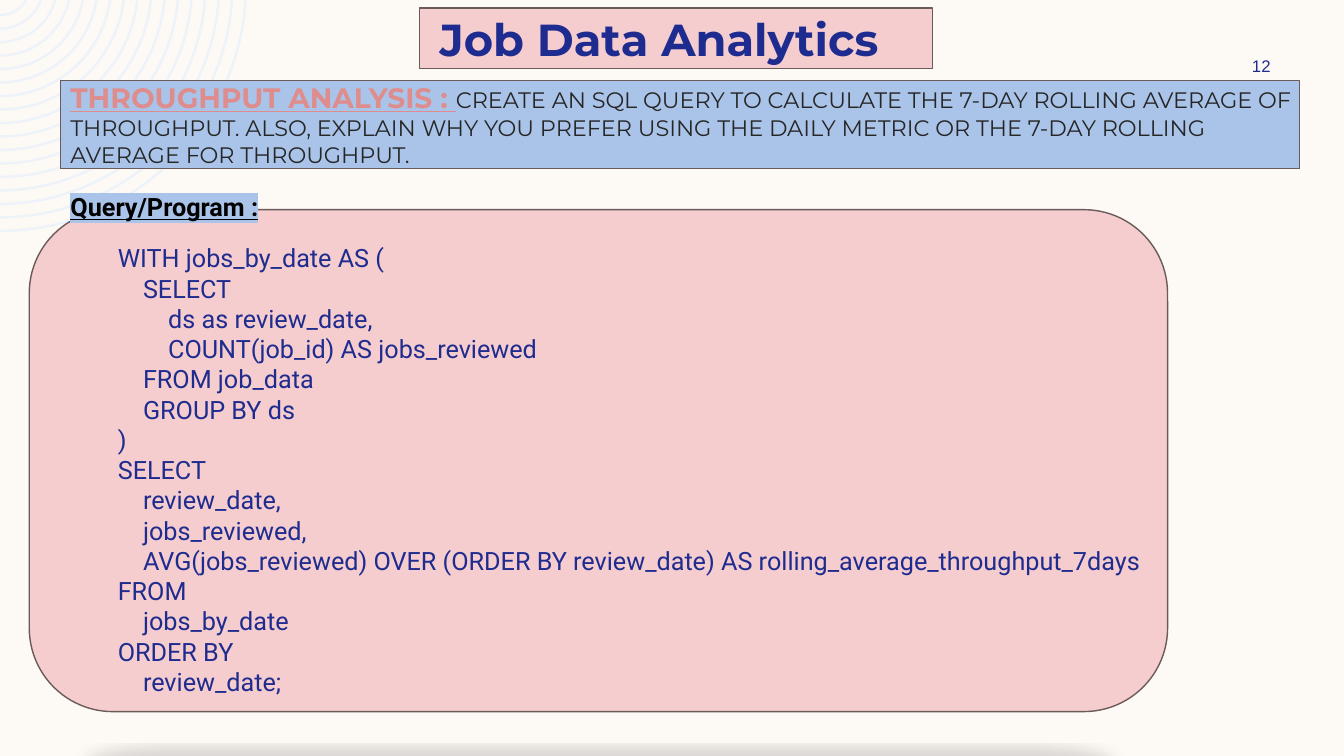
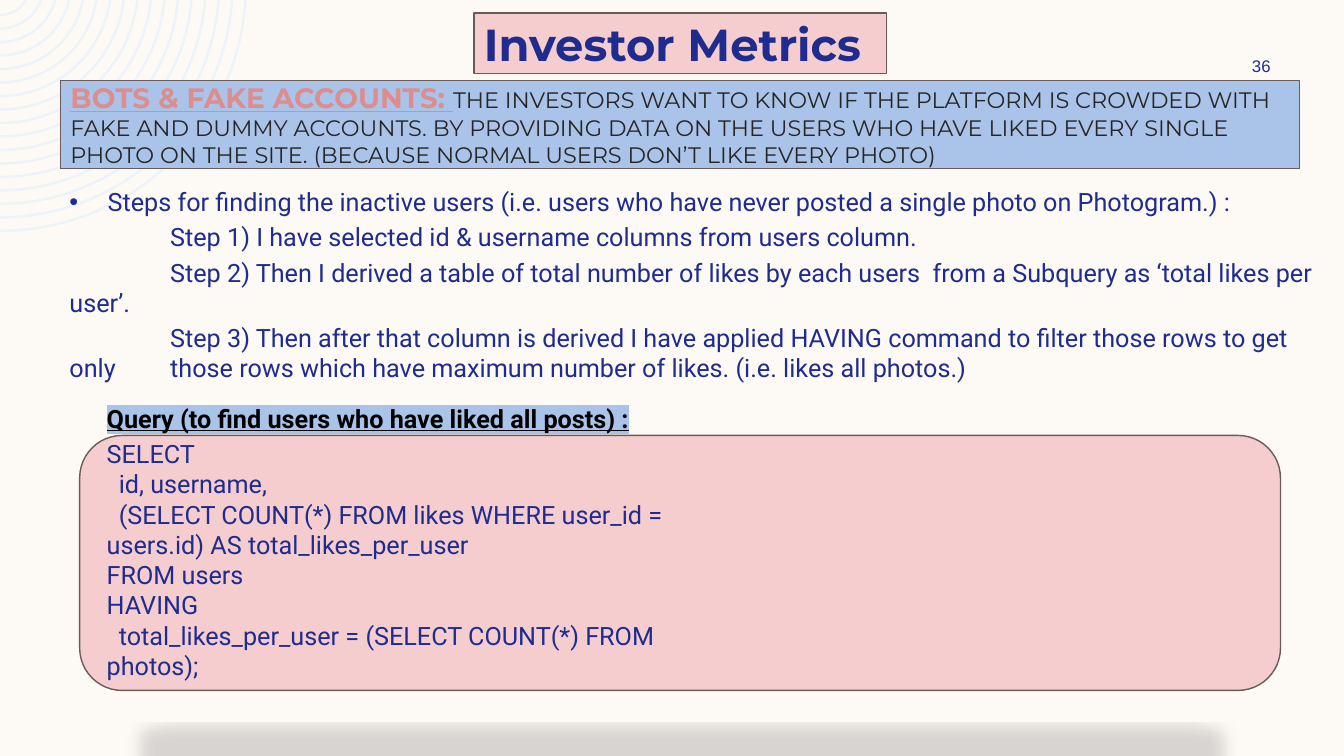
import math
from dataclasses import dataclass

import pptx
import pptx.dml.color
import pptx.enum.shapes
import pptx.enum.text
import pptx.oxml
import pptx.oxml.ns
import pptx.util
from pptx.util import Inches

SHAPES = pptx.enum.shapes.MSO_SHAPE
ANCHOR = pptx.enum.text.MSO_ANCHOR
ALIGN = pptx.enum.text.PP_ALIGN


@dataclass(frozen=True)
class Theme:
    paper: str = "FDFAF6"
    rings: str = "EEF3FA"
    pink: str = "F5CDCE"
    blue: str = "AAC4E9"
    outline: str = "6B5A5A"
    navy: str = "1F2C8F"
    rose: str = "DF8C8C"
    ink: str = "262626"
    black: str = "000000"
    heading_font: str = "Montserrat"
    body_font: str = "Roboto"
    number_font: str = "Arial"
    title_size: int = 32
    lead_size: int = 20
    body_size: int = 18
    task_size: int = 16
    number_size: int = 12


THEME = Theme()

SLIDES = [
    {
        "title": "Job Data Analytics",
        "title_box": (4.16, 0.08, 5.09, 0.6),
        "title_inset": 0.2,
        "number": "12",
        "lead": "THROUGHPUT ANALYSIS : ",
        "task": "CREATE AN SQL QUERY TO CALCULATE THE 7-DAY ROLLING AVERAGE OF THROUGHPUT. "
                "ALSO, EXPLAIN WHY YOU PREFER USING THE DAILY METRIC OR THE 7-DAY ROLLING "
                "AVERAGE FOR THROUGHPUT.",
        "steps": [],
        "label": "Query/Program :",
        "label_box": (0.6, 1.85, 4.91, 0.4),
        "panel_box": (0.29, 2.08, 11.29, 4.98),
        "code_box": (1.07, 2.36, 11.68, 4.64),
        "code_indent": 0.25,
        "code": [
            (0, "WITH jobs_by_date AS ("),
            (1, "SELECT"),
            (2, "ds as review_date,"),
            (2, "COUNT(job_id) AS jobs_reviewed"),
            (1, "FROM job_data"),
            (1, "GROUP BY ds"),
            (0, ")"),
            (0, "SELECT"),
            (1, "review_date,"),
            (1, "jobs_reviewed,"),
            (1, "AVG(jobs_reviewed) OVER (ORDER BY review_date) AS rolling_average_throughput_7days"),
            (0, "FROM"),
            (1, "jobs_by_date"),
            (0, "ORDER BY"),
            (1, "review_date;"),
        ],
    },
    {
        "title": "Investor Metrics",
        "title_box": (4.7, 0.13, 4.09, 0.6),
        "title_inset": 0.1,
        "number": "36",
        "lead": "BOTS & FAKE ACCOUNTS: ",
        "task": "THE INVESTORS WANT TO KNOW IF THE PLATFORM IS CROWDED WITH FAKE AND DUMMY "
                "ACCOUNTS. BY PROVIDING DATA ON THE USERS WHO HAVE LIKED EVERY SINGLE PHOTO "
                "ON THE SITE. (BECAUSE NORMAL USERS DON’T LIKE EVERY PHOTO)",
        "steps": [
            "Steps for finding the inactive users (i.e. users who have never posted a single "
            "photo on Photogram.) :",
            "Step 1) I have selected id & username columns from users column.",
            "Step 2) Then I derived a table of total number of likes by each users  from a "
            "Subquery as ‘total likes per user’.",
            "Step 3) Then after that column is derived I have applied HAVING command to filter "
            "those rows to get only \tthose rows which have maximum number of likes. "
            "(i.e. likes all photos.)",
        ],
        "label": "Query (to find users who have liked all posts) :",
        "label_box": (0.96, 3.95, 5.65, 0.4),
        "panel_box": (0.79, 4.32, 11.91, 2.53),
        "code_box": (0.96, 4.3, 5.81, 2.62),
        "code_indent": 0.12,
        "code": [
            (0, "SELECT"),
            (1, "id, username,"),
            (1, "(SELECT COUNT(*) FROM likes WHERE user_id = users.id) AS total_likes_per_user"),
            (0, "FROM users"),
            (0, "HAVING"),
            (1, "total_likes_per_user = (SELECT COUNT(*) FROM photos);"),
        ],
    },
]

TASK_BAND = (0.6, 0.8, 12.29, 0.87)
NUMBER_BOX = (11.97, 0.5, 1.08, 0.3)
STEPS_BOX = (0.59, 1.8, 12.54, 1.87)
BULLET_INDENT = 0.38
STEP_INDENT = 1
STEP_TAB = 1.8

RING_COUNT = 17
RING_DROP = 0.15
RING_RADIUS = 2.44
RING_GAP = 2.14 / (RING_COUNT - 1)
RING_WIDTH = 1.8


def rgb(value):
    return pptx.dml.color.RGBColor.from_string(value)


def inches(values):
    return [Inches(value) for value in values]


def add_xml(parent, xml):
    namespace = pptx.oxml.ns.nsdecls("a")
    parent.append(pptx.oxml.parse_xml(xml.replace(" ", f" {namespace} ", 1)))


def style(font, name, size, color, bold=False, underline=False):
    font.name = name
    font.size = pptx.util.Pt(size)
    font.color.rgb = rgb(color)
    font.bold = bold
    font.underline = underline


def add_text(slide, box):
    frame = slide.shapes.add_textbox(*inches(box)).text_frame
    frame.word_wrap = True
    return frame


def add_panel(slide, kind, box, fill):
    panel = slide.shapes.add_shape(kind, *inches(box))
    panel.shadow.inherit = False
    panel.fill.solid()
    panel.fill.fore_color.rgb = rgb(fill)
    panel.line.color.rgb = rgb(THEME.outline)
    panel.line.width = pptx.util.Pt(1)
    return panel


def add_heading(slide, box, fill, left_inset):
    frame = add_panel(slide, SHAPES.RECTANGLE, box, fill).text_frame
    frame.word_wrap = True
    frame.vertical_anchor = ANCHOR.MIDDLE
    frame.margin_left = Inches(left_inset)
    frame.margin_right = frame.margin_top = frame.margin_bottom = 0
    frame.paragraphs[0].alignment = ALIGN.LEFT
    return frame.paragraphs[0]


def add_paragraphs(frame, lines):
    for index, line in enumerate(lines):
        paragraph = frame.add_paragraph() if index else frame.paragraphs[0]
        paragraph.text = line
        yield paragraph


def set_indent(paragraph, first_line, left=0):
    properties = paragraph._p.get_or_add_pPr()
    properties.set("marL", str(Inches(left)))
    properties.set("indent", str(Inches(first_line)))
    return properties


def add_rings(slide):
    radii = [RING_RADIUS - ring * RING_GAP for ring in range(RING_COUNT)]
    ends = [(inches((math.sqrt(radius ** 2 - RING_DROP ** 2), 0)),
             inches((0, radius - RING_DROP))) for radius in radii]
    builder = slide.shapes.build_freeform(*ends[0][0])
    for index, (start, end) in enumerate(ends):
        if index:
            builder.move_to(*start)
        builder.add_line_segments([end], close=False)
    rings = builder.convert_to_shape()
    rings.shadow.inherit = False
    rings.fill.background()
    rings.line.color.rgb = rgb(THEME.rings)
    rings.line.width = pptx.util.Pt(RING_WIDTH)
    chords = list(rings._element.iter(pptx.oxml.ns.qn("a:lnTo")))
    for chord, radius in zip(chords, radii):
        start = round(math.degrees(math.asin(RING_DROP / radius)) * 60000)
        size = Inches(radius)
        curve = pptx.oxml.parse_xml(
            f'<a:arcTo {pptx.oxml.ns.nsdecls("a")} wR="{size}" hR="{size}" '
            f'stAng="{start}" swAng="{5400000 - start}"/>')
        chord.getparent().replace(chord, curve)


def add_code_panel(slide, box):
    panel = add_panel(slide, SHAPES.ROUNDED_RECTANGLE, box, THEME.pink)
    effects = panel._element.spPr.find(pptx.oxml.ns.qn("a:effectLst"))
    add_xml(effects, '<a:outerShdw blurRad="152400" dist="317500" dir="5400000" sx="90000" '
                     'sy="-19000" rotWithShape="0"><a:srgbClr val="000000">'
                     '<a:alpha val="15000"/></a:srgbClr></a:outerShdw>')


def add_steps(slide, steps):
    for index, paragraph in enumerate(add_paragraphs(add_text(slide, STEPS_BOX), steps)):
        paragraph.space_before = pptx.util.Pt(3.6)
        if index:
            properties = set_indent(paragraph, STEP_INDENT)
            add_xml(properties, f'<a:tabLst ><a:tab pos="{Inches(STEP_TAB)}" algn="l"/></a:tabLst>')
        else:
            properties = set_indent(paragraph, -BULLET_INDENT, BULLET_INDENT)
            add_xml(properties, '<a:buFont typeface="Arial"/>')
            add_xml(properties, '<a:buChar char="•"/>')
        style(paragraph.font, THEME.body_font, THEME.body_size, THEME.navy)


def add_label(slide, box, text):
    paragraph = add_text(slide, box).paragraphs[0]
    paragraph.text = text
    style(paragraph.font, THEME.body_font, THEME.body_size, THEME.black, True, True)
    add_xml(paragraph.runs[0]._r.get_or_add_rPr(),
            f'<a:highlight ><a:srgbClr val="{THEME.blue}"/></a:highlight>')


def add_code(slide, box, code, indent):
    paragraphs = add_paragraphs(add_text(slide, box), [line for _, line in code])
    for paragraph, (level, _) in zip(paragraphs, code):
        set_indent(paragraph, level * indent)
        style(paragraph.font, THEME.body_font, THEME.body_size, THEME.navy)


def add_number(slide, number):
    frame = add_text(slide, NUMBER_BOX)
    frame.vertical_anchor = ANCHOR.MIDDLE
    paragraph = frame.paragraphs[0]
    paragraph.text = number
    paragraph.alignment = ALIGN.CENTER
    style(paragraph.font, THEME.number_font, THEME.number_size, THEME.navy)


def build_slide(deck, content):
    slide = deck.slides.add_slide(deck.slide_layouts[6])
    slide.background.fill.solid()
    slide.background.fill.fore_color.rgb = rgb(THEME.paper)
    add_rings(slide)

    title = add_heading(slide, content["title_box"], THEME.pink, content["title_inset"])
    title.text = content["title"]
    style(title.font, THEME.heading_font, THEME.title_size, THEME.navy, True)

    question = add_heading(slide, TASK_BAND, THEME.blue, 0.1)
    lead, task = question.add_run(), question.add_run()
    lead.text, task.text = content["lead"], content["task"]
    style(lead.font, THEME.heading_font, THEME.lead_size, THEME.rose, True, True)
    style(task.font, THEME.heading_font, THEME.task_size, THEME.ink)

    add_number(slide, content["number"])
    if content["steps"]:
        add_steps(slide, content["steps"])
    add_code_panel(slide, content["panel_box"])
    add_label(slide, content["label_box"], content["label"])
    add_code(slide, content["code_box"], content["code"], content["code_indent"])


def main():
    deck = pptx.Presentation()
    deck.slide_width, deck.slide_height = Inches(13.33), Inches(7.5)
    for content in SLIDES:
        build_slide(deck, content)
    deck.save("out.pptx")


if __name__ == "__main__":
    main()
